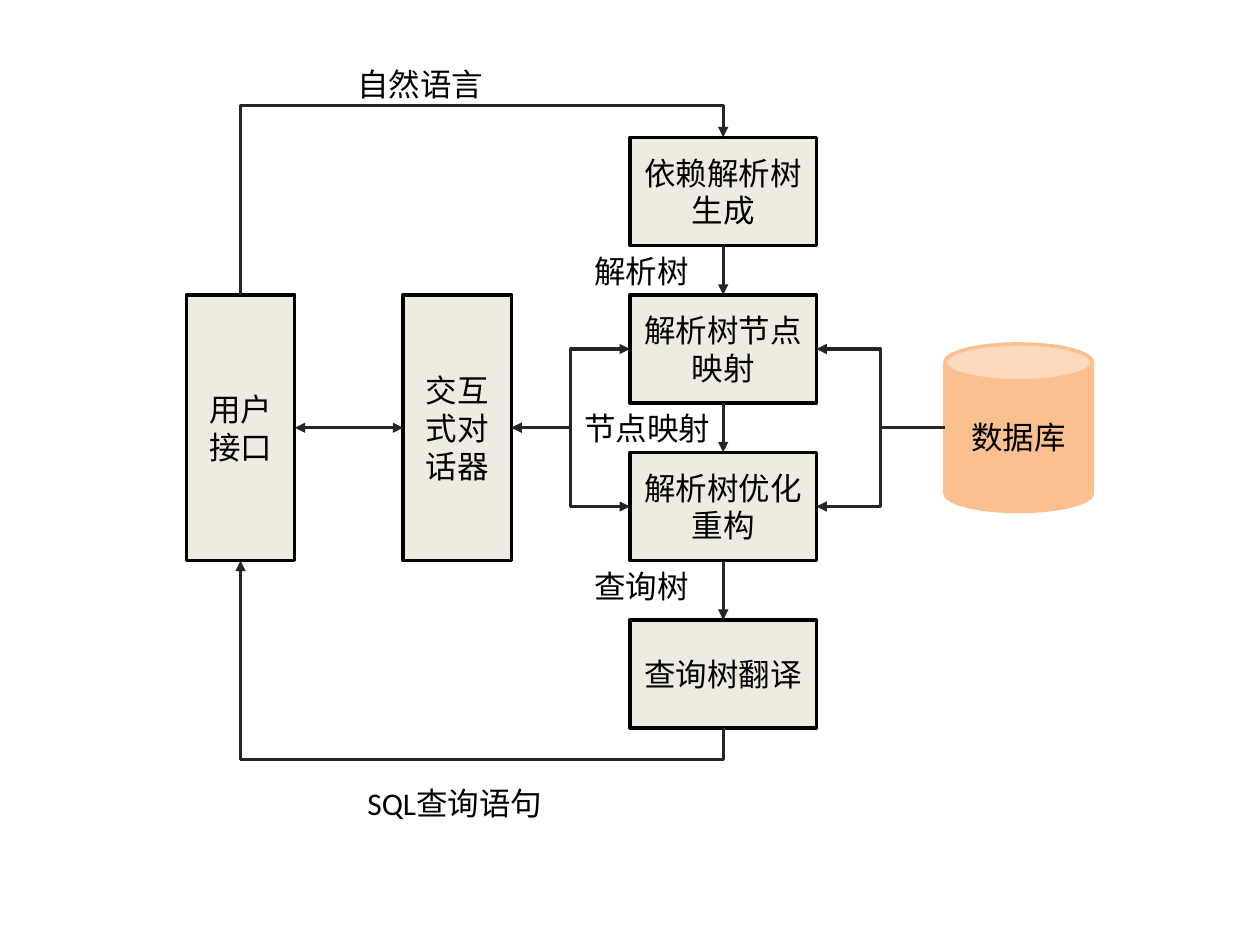
from lxml import etree
from pptx import Presentation
from pptx.dml.color import RGBColor
from pptx.enum.shapes import MSO_CONNECTOR, MSO_SHAPE
from pptx.enum.text import MSO_ANCHOR, MSO_AUTO_SIZE, PP_ALIGN
from pptx.oxml.ns import qn
from pptx.util import Inches, Pt

RECT, CAN = MSO_SHAPE.RECTANGLE, MSO_SHAPE.CAN
STRAIGHT, ELBOW = MSO_CONNECTOR.STRAIGHT, MSO_CONNECTOR.ELBOW
CENTER, MIDDLE = PP_ALIGN.CENTER, MSO_ANCHOR.MIDDLE
GROW = MSO_AUTO_SIZE.SHAPE_TO_FIT_TEXT
COLORS = {"box": "EEECE1", "store": "FAC090", "text": "000000", "border": "000000", "arrow": "262626"}


class Diagram:
    """Draws the boxes, labels and arrows of a flow diagram on one slide."""

    def __init__(self, slide):
        self.shapes = slide.shapes
        self.font, self.size = "Calibri", Pt(18)

    def color(self, name):
        return RGBColor.from_string(COLORS[name])

    def add_text(self, tf, text):
        tf.word_wrap = True
        p = tf.paragraphs[0]
        p.alignment = CENTER
        r = p.add_run()
        r.text = text
        r.font.name, r.font.size = self.font, self.size
        r.font.color.rgb = self.color("text")

    def box(self, text, x, y, w, h, kind=RECT, fill="box", border="border"):
        s = self.shapes.add_shape(kind, Inches(x), Inches(y), Inches(w), Inches(h))
        s.shadow.inherit = False
        s.fill.solid()
        s.fill.fore_color.rgb = self.color(fill)
        s.line.color.rgb = self.color(border)
        s.line.width = Pt(2)
        s.text_frame.vertical_anchor = MIDDLE
        self.add_text(s.text_frame, text)

    def label(self, text, x, y, w):
        s = self.shapes.add_textbox(Inches(x), Inches(y), Inches(w), Inches(0.4))
        s.text_frame.auto_size = GROW
        self.add_text(s.text_frame, text)

    def arrow(self, x1, y1, x2, y2, kind=STRAIGHT, both=False):
        s = self.shapes.add_connector(kind, Inches(x1), Inches(y1), Inches(x2), Inches(y2))
        s.line.color.rgb = self.color("arrow")
        s.line.width = Pt(1.75)
        ln = s._element.spPr.find(qn("a:ln"))
        for end in ("headEnd", "tailEnd") if both else ("tailEnd",):
            etree.SubElement(ln, qn("a:" + end), type="triangle")
        etree.SubElement(s._element.spPr, qn("a:effectLst"))
        return s

    def loop(self, x1, y1, x2, y2, bend):
        cx, cy = (x1 + x2) / 2, (y1 + y2) / 2
        dx, dy = (x1 - x2) / 2, (y1 - y2) / 2
        s = self.arrow(cx + dy, cy - dx, cx - dy, cy + dx, ELBOW)
        spPr = s._element.spPr
        spPr.find(qn("a:xfrm")).set("rot", "5400000")
        guides = spPr.find(qn("a:prstGeom")).find(qn("a:avLst"))
        ratio = round((bend - y1) / (y2 - y1) * 100000)
        etree.SubElement(guides, qn("a:gd"), name="adj1", fmla=f"val {ratio}")


def main():
    prs = Presentation()
    prs.slide_width, prs.slide_height = Inches(10), Inches(7.5)
    d = Diagram(prs.slides.add_slide(prs.slide_layouts[6]))

    ui_x, dialog_x, side_y, side_w, side_h = 1.48, 3.2, 2.34, 0.86, 2.11
    step_x, step_w, step_h = 5, 1.48, 0.86
    store_x = 7.5
    steps = [("依赖解析树生成", 1.09), ("解析树节点映射", 2.34), ("解析树优化重构", 3.59), ("查询树翻译", 4.92)]
    tops = [y for _, y in steps]
    ui_mid, step_mid = ui_x + side_w / 2, step_x + step_w / 2
    mid_y, last_y = side_y + side_h / 2, tops[-1] + step_h

    d.box("用户接口", ui_x, side_y, side_w, side_h)
    for text, y in steps:
        d.box(text, step_x, y, step_w, step_h)
    d.box("交互式对话器", dialog_x, side_y, side_w, side_h)
    d.box("数据库", store_x, 2.73, 1.17, 1.33, CAN, "store", "store")

    d.loop(ui_mid, side_y, step_mid, tops[0], tops[0] - 0.25)
    for y, below in zip(tops, tops[1:]):
        d.arrow(step_mid, y + step_h, step_mid, below)
    d.loop(step_mid, last_y, ui_mid, side_y + side_h, last_y + 0.25)
    d.arrow(ui_x + side_w, mid_y, dialog_x, mid_y, both=True)
    for y in tops[1:3]:
        d.arrow(dialog_x + side_w, mid_y, step_x, y + step_h / 2, ELBOW, both=True)
        d.arrow(store_x, mid_y, step_x + step_w, y + step_h / 2, ELBOW)

    for text, x, y, w in [
        ("自然语言", 2.73, 0.47, 1.21),
        ("SQL查询语句", 2.81, 6.17, 1.6),
        ("解析树", 4.61, 1.95, 0.96),
        ("节点映射", 4.53, 3.2, 1.21),
        ("查询树", 4.61, 4.45, 0.96),
    ]:
        d.label(text, x, y, w)
    prs.save("out.pptx")


if __name__ == "__main__":
    main()
